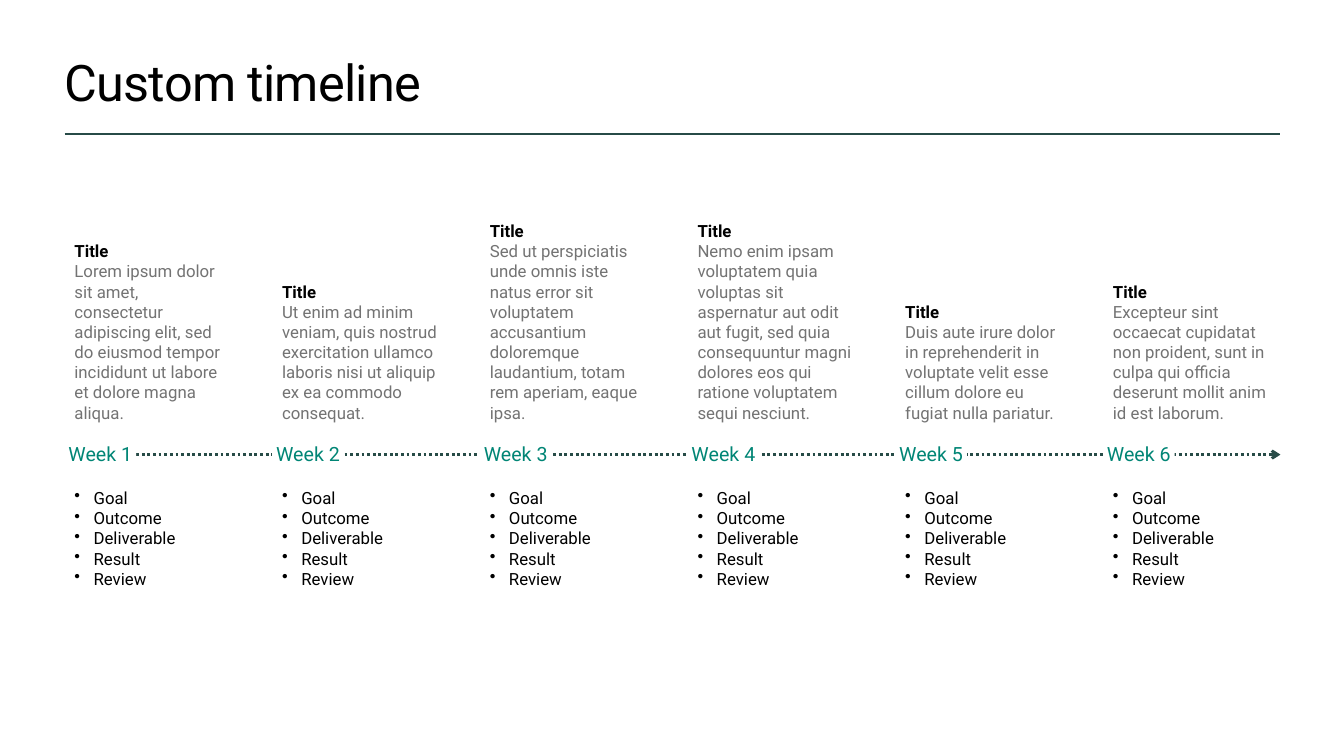
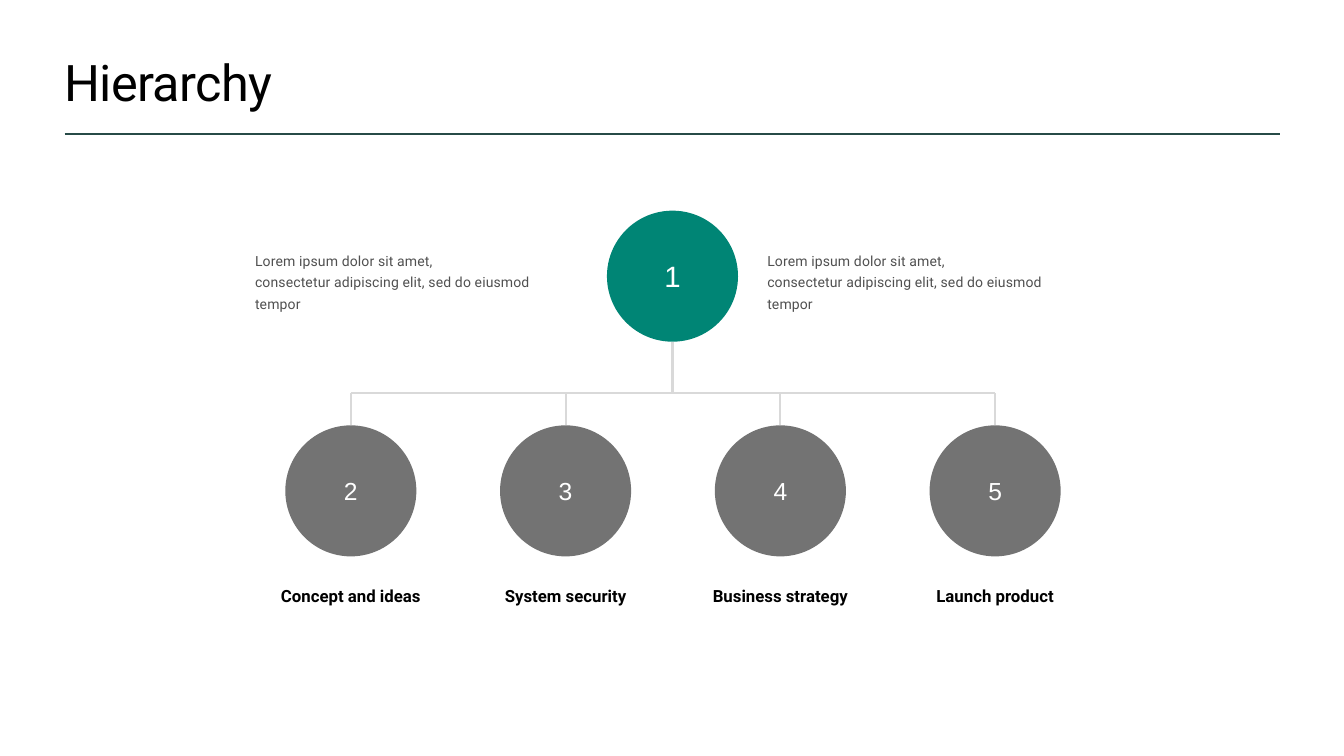
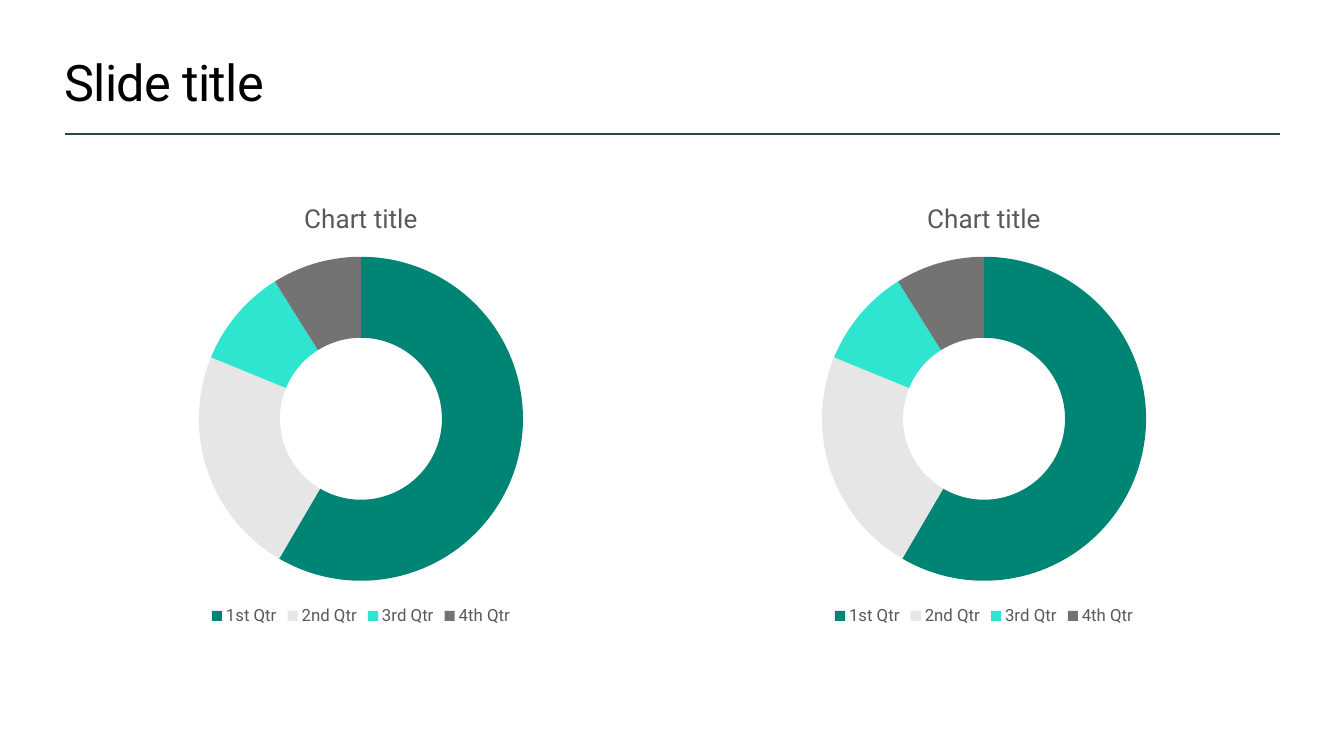
import pptx
import pptx.chart.data
import pptx.dml.color
import pptx.enum.chart
import pptx.enum.dml
import pptx.enum.shapes
import pptx.enum.text
import pptx.oxml.xmlchemy
import pptx.util
from pptx.util import Inches

# Shared style
RGBColor = pptx.dml.color.RGBColor
BLACK = RGBColor(0x00, 0x00, 0x00)
WHITE = RGBColor(0xFF, 0xFF, 0xFF)
PINE = RGBColor(0x27, 0x4B, 0x47)
TEAL = RGBColor(0x00, 0x85, 0x75)
AQUA = RGBColor(0x30, 0xE5, 0xD0)
GRAY = RGBColor(0x73, 0x73, 0x73)
DARK_GRAY = RGBColor(0x50, 0x50, 0x50)
CHART_GRAY = RGBColor(0x59, 0x59, 0x59)
LINE_GRAY = RGBColor(0xD9, 0xD9, 0xD9)
PALE_GRAY = RGBColor(0xE6, 0xE6, 0xE6)
FONT = "Roboto"
LEFT, RIGHT = 0.64, 12.7
SHAPES = pptx.enum.shapes.MSO_SHAPE
ANCHOR = pptx.enum.text.MSO_ANCHOR
CENTER = pptx.enum.text.PP_ALIGN.CENTER
GROW = pptx.enum.text.MSO_AUTO_SIZE.SHAPE_TO_FIT_TEXT
NO_INSETS = (0, 0)
TEXT_INSETS = (0.1, 0.05)

# Timeline: height of the text above the line, and the text
WEEKS = [
    (1.72, "Lorem ipsum dolor sit amet, consectetur adipiscing elit, sed do "
           "eiusmod tempor incididunt ut labore et dolore magna aliqua."),
    (1.52, "Ut enim ad minim veniam, quis nostrud exercitation ullamco "
           "laboris nisi ut aliquip ex ea commodo consequat."),
    (2.12, "Sed ut perspiciatis unde omnis iste natus error sit voluptatem "
           "accusantium doloremque laudantium, totam rem aperiam, eaque ipsa."),
    (2.12, "Nemo enim ipsam voluptatem quia voluptas sit aspernatur aut odit "
           "aut fugit, sed quia consequuntur magni dolores eos qui ratione "
           "voluptatem sequi nesciunt."),
    (1.32, "Duis aute irure dolor in reprehenderit in voluptate velit esse "
           "cillum dolore eu fugiat nulla pariatur."),
    (1.52, "Excepteur sint occaecat cupidatat non proident, sunt in culpa qui "
           "officia deserunt mollit anim id est laborum."),
]
WEEK_ITEMS = ["Goal", "Outcome", "Deliverable", "Result", "Review"]

# Hierarchy
BRANCHES = ["Concept and ideas", "System security", "Business strategy",
            "Launch product"]
ROOT_NOTE = ["Lorem ipsum dolor sit amet,",
             "consectetur adipiscing elit, sed do eiusmod tempor"]

# Charts
CHART_TITLE = "Chart title"
QUARTERS = [("1st Qtr", 59, TEAL), ("2nd Qtr", 23, PALE_GRAY),
            ("3rd Qtr", 10, AQUA), ("4th Qtr", 9, GRAY)]


def make_element(tag, **attributes):
    element = pptx.oxml.xmlchemy.OxmlElement(tag)
    for name, value in attributes.items():
        element.set(name, value)
    return element


def style_font(font, size, color, bold=False, name=FONT):
    font.size = pptx.util.Pt(size)
    font.name = name
    font.bold = bold
    font.color.rgb = color


def write(shape, lines, size, color, bold=False, name=FONT, align=None,
          anchor=ANCHOR.TOP, insets=NO_INSETS, spacing=None):
    """Fill a shape with one paragraph per line, all in one style."""
    frame = shape.text_frame
    frame.text = "\n".join(lines)
    frame.word_wrap = True
    frame.vertical_anchor = anchor
    frame.margin_left = frame.margin_right = Inches(insets[0])
    frame.margin_top = frame.margin_bottom = Inches(insets[1])
    for para in frame.paragraphs:
        para.alignment = align
        for span in para.runs:
            style_font(span.font, size, color, bold, name)
            if spacing:
                span.font._element.set("spc", str(round(spacing * 100)))
    return frame


def add_text(page, left, top, width, height, lines, size, color, **style):
    box = page.shapes.add_textbox(
        Inches(left), Inches(top), Inches(width), Inches(height))
    return write(box, lines, size, color, **style)


def add_filled(page, kind, left, top, width, height, color):
    shape = page.shapes.add_shape(
        kind, Inches(left), Inches(top), Inches(width), Inches(height))
    shape.shadow.inherit = False
    shape.fill.solid()
    shape.fill.fore_color.rgb = color
    shape.line.fill.background()
    return shape


def add_line(page, start, end, color, width):
    line = page.shapes.add_connector(
        pptx.enum.shapes.MSO_CONNECTOR.STRAIGHT,
        *[Inches(value) for value in (*start, *end)])
    line.line.color.rgb = color
    line.line.width = pptx.util.Pt(width)
    line._element.spPr.append(make_element("a:effectLst"))
    return line


def add_bullet(para, indent):
    properties = para._p.get_or_add_pPr()
    properties.set("marL", str(Inches(indent)))
    properties.set("indent", str(-Inches(indent)))
    properties.append(make_element("a:buChar", char="•"))


def add_page(deck, title):
    """Add a blank page with the shared title and rule."""
    page = deck.slides.add_slide(deck.slide_layouts[6])
    add_line(page, (LEFT, 1.33), (RIGHT, 1.33), PINE, 2)
    add_text(page, LEFT, 0.5, 12.05, 0.61, [title], 36, BLACK,
             anchor=ANCHOR.MIDDLE, spacing=-0.5)
    return page


def build_timeline(deck):
    page = add_page(deck, "Custom timeline")
    pitch, text_width, text_bottom = 2.06, 1.74, 4.24

    # Dotted arrow
    arrow = add_line(page, (1.35, 4.51), (RIGHT, 4.51), PINE, 2)
    arrow.line.dash_style = pptx.enum.dml.MSO_LINE.ROUND_DOT
    arrow.line._get_or_add_ln().append(make_element("a:tailEnd", type="arrow"))

    for index, (height, text) in enumerate(WEEKS):
        left = LEFT + index * pitch
        # Week label on the arrow
        label = add_filled(page, SHAPES.RECTANGLE, left, 4.38, 0.71, 0.24, WHITE)
        write(label, [f"Week {index + 1}"], 14, TEAL, align=CENTER)
        # Description above
        frame = add_text(page, left, text_bottom - height, text_width, height,
                         ["Title", text], 12, GRAY, anchor=ANCHOR.BOTTOM,
                         insets=TEXT_INSETS)
        style_font(frame.paragraphs[0].runs[0].font, 12, BLACK, bold=True)
        frame.auto_size = GROW
        # Bullets below
        frame = add_text(page, left, 4.79, text_width, 1.11, WEEK_ITEMS, 12,
                         BLACK, insets=TEXT_INSETS)
        frame.auto_size = GROW
        for para in frame.paragraphs:
            add_bullet(para, 0.19)


def build_hierarchy(deck):
    page = add_page(deck, "Hierarchy")
    size, root_center, root_top = 1.3, 6.67, 2.09
    branch_top, bar_y, label_width = 4.22, 3.9, 1.89
    first_center, pitch = 3.48, 2.13
    centers = [first_center + pitch * index for index in range(len(BRANCHES))]

    # Trunk and crossbar
    add_line(page, (root_center, bar_y), (root_center, root_top + size),
             LINE_GRAY, 1.5)
    add_line(page, (centers[0], bar_y), (centers[-1], bar_y), LINE_GRAY, 1.5)

    # Root with a note on each side
    root = add_filled(page, SHAPES.OVAL, root_center - size / 2, root_top,
                      size, size, TEAL)
    write(root, ["1"], 21, WHITE, name="Arial", align=CENTER,
          anchor=ANCHOR.MIDDLE)
    for left in (2.53, 7.61):
        frame = add_text(page, left, 2.45, 3.19, 0.81, ROOT_NOTE, 10,
                         DARK_GRAY, spacing=0.1)
        for para in frame.paragraphs:
            para.line_spacing = 1.3

    # Branches
    for number, (center, label) in enumerate(zip(centers, BRANCHES), start=2):
        circle = add_filled(page, SHAPES.OVAL, center - size / 2, branch_top,
                            size, size, GRAY)
        write(circle, [str(number)], 17.6, WHITE, name="Arial", align=CENTER,
              anchor=ANCHOR.MIDDLE, insets=(0.07, 0.04))
        stem = add_line(page, (center, branch_top), (center, bar_y),
                        LINE_GRAY, 1.5)
        stem.begin_connect(circle, 0)
        add_text(page, center - label_width / 2, 5.79, label_width, 0.24,
                 [label], 12, BLACK, bold=True, align=CENTER,
                 anchor=ANCHOR.MIDDLE)


def add_doughnut(page, left):
    data = pptx.chart.data.CategoryChartData()
    data.categories = [name for name, value, color in QUARTERS]
    data.add_series("Series 1", [value for name, value, color in QUARTERS])
    chart = page.shapes.add_chart(
        pptx.enum.chart.XL_CHART_TYPE.DOUGHNUT, Inches(left), Inches(1.81),
        Inches(5.88), Inches(4.44), data).chart
    style_font(chart.font, 10, BLACK)

    chart.has_title = True
    chart.chart_title.include_in_layout = False
    frame = chart.chart_title.text_frame
    frame.text = CHART_TITLE
    style_font(frame.paragraphs[0].runs[0].font, 18.6, CHART_GRAY)

    chart.has_legend = True
    chart.legend.position = pptx.enum.chart.XL_LEGEND_POSITION.BOTTOM
    chart.legend.include_in_layout = False
    style_font(chart.legend.font, 12, CHART_GRAY)

    plot = chart.plots[0]
    plot.has_data_labels = False
    for index, (name, value, color) in enumerate(QUARTERS):
        point = plot.series[0].points[index].format
        point.fill.solid()
        point.fill.fore_color.rgb = color
        point.line.fill.background()


def build_charts(deck):
    page = add_page(deck, "Slide title")
    for left in (LEFT, 6.82):
        add_doughnut(page, left)


def main():
    deck = pptx.Presentation()
    deck.slide_width, deck.slide_height = Inches(13.33), Inches(7.5)
    build_timeline(deck)
    build_hierarchy(deck)
    build_charts(deck)
    deck.save("out.pptx")


if __name__ == "__main__":
    main()
